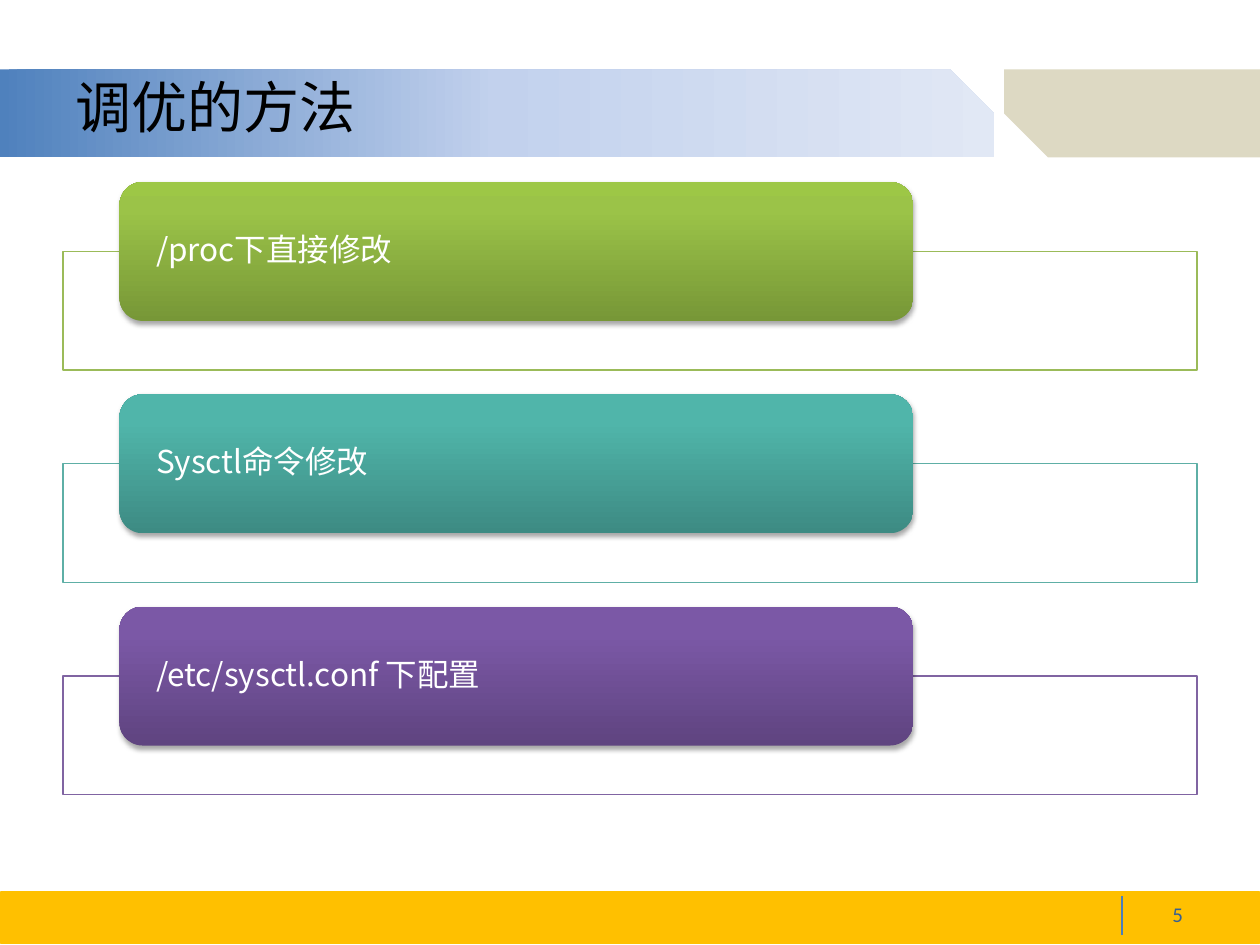
from lxml.etree import SubElement
from pptx import Presentation
from pptx.dml.color import RGBColor
from pptx.enum.shapes import MSO_CONNECTOR, MSO_SHAPE
from pptx.enum.text import MSO_ANCHOR, PP_ALIGN
from pptx.oxml import parse_xml
from pptx.oxml.ns import nsdecls, qn
from pptx.util import Cm, Pt

color = RGBColor.from_string


def write(holder, text, size, font, ink, align, inset=0.25):
    frame = holder.text_frame
    frame.word_wrap = True
    frame.vertical_anchor = MSO_ANCHOR.MIDDLE
    frame.margin_left = frame.margin_right = Cm(inset)
    frame.margin_top = frame.margin_bottom = 0
    paragraph = frame.paragraphs[0]
    paragraph.text = text
    paragraph.alignment = align
    paragraph.line_spacing = 0.9
    paragraph.font.size = Pt(size)
    paragraph.font.name = font
    paragraph.font.color.rgb = color(ink)
    SubElement(paragraph.font._element, qn("a:ea")).set("typeface", font)


def shade(shape, stops, angle):
    shape.shadow.inherit = False
    shape.line.fill.background()
    shape.fill.gradient()
    gradient = shape.fill._xPr.find(qn("a:gradFill"))
    stop_list = gradient.find(qn("a:gsLst"))
    for old_stop in list(stop_list):
        stop_list.remove(old_stop)
    for position, tint in stops:
        stop = SubElement(stop_list, qn("a:gs"))
        stop.set("pos", str(position * 1000))
        SubElement(stop, qn("a:srgbClr")).set("val", tint)
    shape.fill.gradient_angle = angle


deck = Presentation()
deck.slide_width, deck.slide_height = Cm(25.4), Cm(19.05)
slide = deck.slides.add_slide(deck.slide_layouts[6])
shapes = slide.shapes

corner = shapes.add_shape(MSO_SHAPE.SNIP_1_RECTANGLE, Cm(20.24), Cm(1.4), Cm(5.16), Cm(1.77))
corner.adjustments[0] = 0.5
corner.rotation = 180
corner.shadow.inherit = False
corner.fill.solid()
corner.fill.fore_color.rgb = color("DDD9C3")
corner.line.fill.background()

banner = shapes.add_shape(MSO_SHAPE.SNIP_1_RECTANGLE, 0, Cm(1.4), Cm(20.04), Cm(1.77))
banner.adjustments[0] = 0.5
shade(banner, [(0, "4F81BD"), (50, "C2D1ED"), (100, "E1E8F5")], 0)

footer = shapes.add_shape(MSO_SHAPE.RECTANGLE, Cm(0.02), Cm(17.98), Cm(25.37), Cm(1.04))
footer.shadow.inherit = False
footer.fill.solid()
footer.fill.fore_color.rgb = color("FFC000")
footer.line.color.rgb = color("FFC000")
footer.line.width = Pt(1)

divider = shapes.add_connector(MSO_CONNECTOR.STRAIGHT, Cm(22.62), Cm(18.06), Cm(22.62), Cm(18.85))
divider.line.color.rgb = color("4B7EBC")
divider.line.width = Pt(0.75)
SubElement(divider._element.spPr, qn("a:effectLst"))

title = shapes.add_textbox(Cm(1.27), Cm(1.42), Cm(22.86), Cm(1.63))
write(title, "调优的方法", 32, "Noto Sans CJK SC", "000000", PP_ALIGN.LEFT)
page_number = shapes.add_textbox(Cm(23.01), Cm(18.06), Cm(1.09), Cm(0.79))
write(page_number, "5", 12, "Calibri", "376092", PP_ALIGN.RIGHT)

methods = [
    ("/proc下直接修改", "9BBB59", ("779737", "9BC348", "9DC746")),
    ("Sysctl命令修改", "5EAFA6", ("3D8B83", "50B5AA", "4EB8AC")),
    ("/etc/sysctl.conf 下配置", "8064A2", ("5F4480", "7B58A6", "7C57A8")),
]
for row, (method, outline, tints) in enumerate(methods):
    top = 3.67 + row * 4.28
    frame = shapes.add_shape(MSO_SHAPE.RECTANGLE, Cm(1.27), Cm(top + 1.4), Cm(22.86), Cm(2.39))
    frame.shadow.inherit = False
    frame.fill.solid()
    frame.fill.fore_color.rgb = color("FFFFFF")
    frame.line.color.rgb = color(outline)
    frame.line.width = Pt(0.75)

    card = shapes.add_shape(MSO_SHAPE.ROUNDED_RECTANGLE, Cm(2.41), Cm(top), Cm(16), Cm(2.8))
    shade(card, zip((0, 80, 100), tints), 90)
    card._element.spPr.find(qn("a:effectLst")).append(parse_xml(
        f'<a:outerShdw {nsdecls("a")} blurRad="{Pt(3.1)}" dist="{Pt(1.8)}" dir="5400000" rotWithShape="0">'
        '<a:srgbClr val="000000"><a:alpha val="35000"/></a:srgbClr></a:outerShdw>'))
    write(card, method, 18, "Noto Sans CJK SC", "FFFFFF", PP_ALIGN.LEFT, 0.6)

deck.save("out.pptx")
